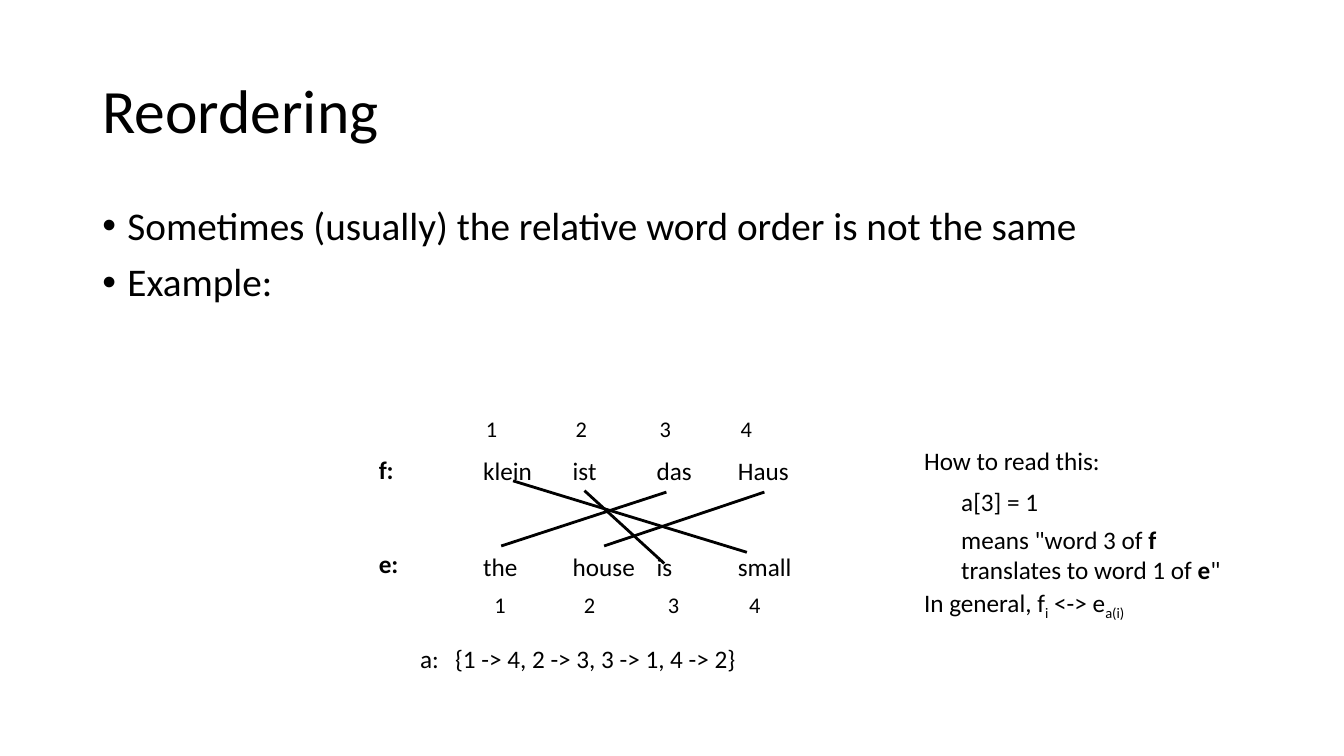
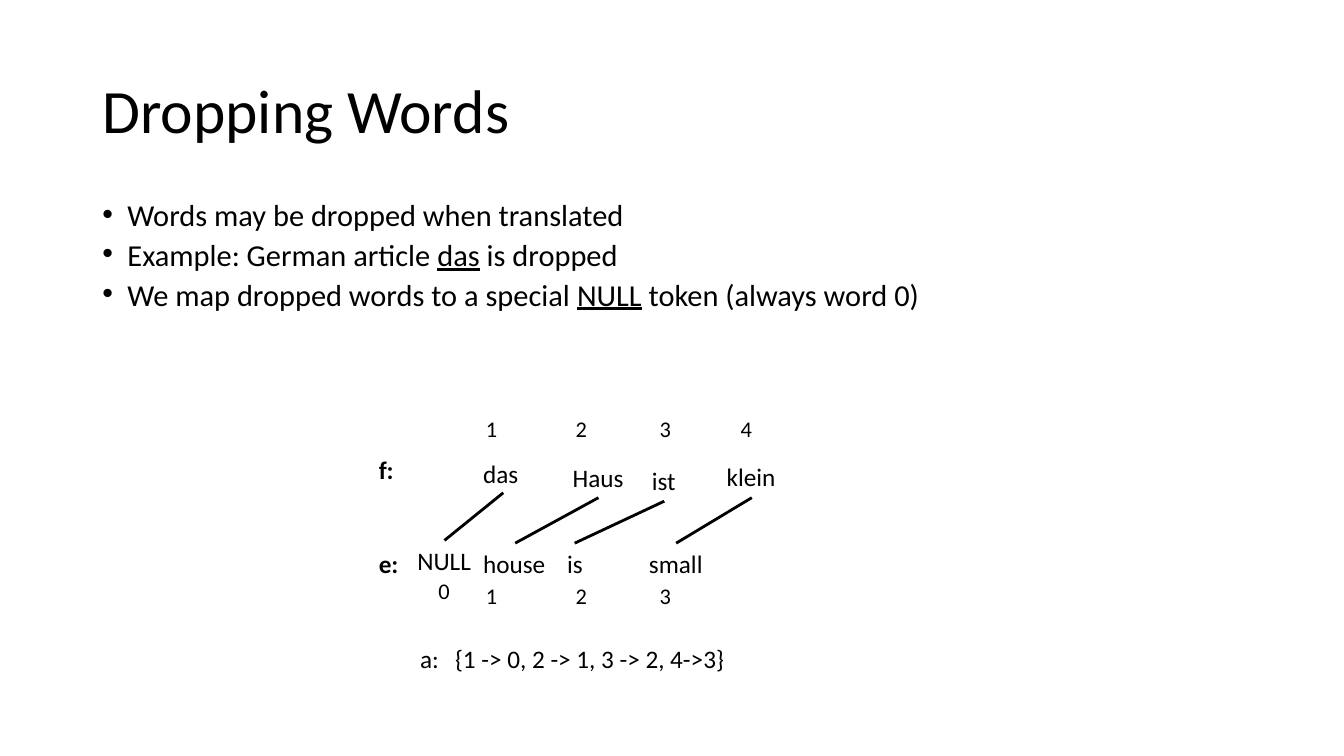
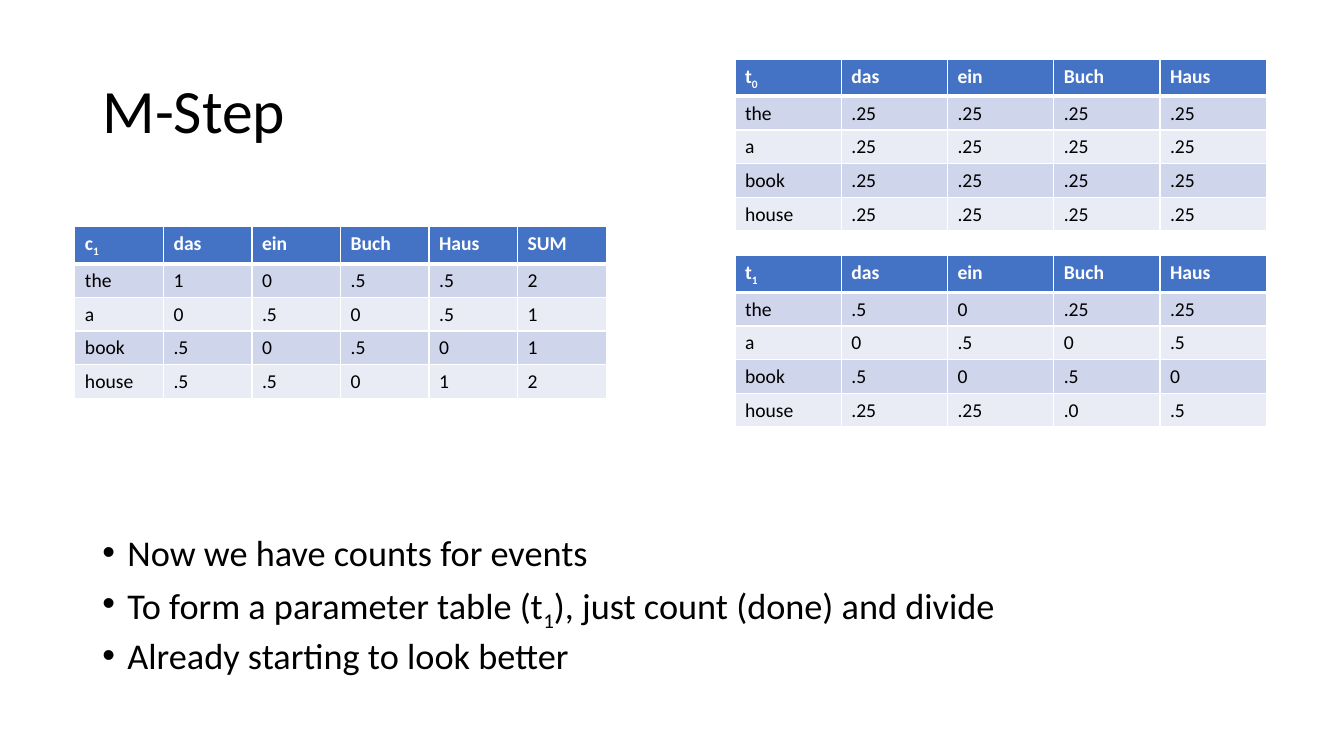
import pptx
import pptx.util
import pptx.dml.color
import pptx.enum.shapes
import pptx.enum.text
import pptx.oxml.ns
from lxml import etree

Pt = pptx.util.Pt
FONT = "Calibri"
BLACK, WHITE = "000000", "FFFFFF"
HEAD, BANDS = "4472C4", ("CFD5EA", "E9EBF5")
MARKS = {"b": "bold", "u": "underline"}

# Box widths of the words in the alignment diagrams
WIDTHS = {"klein": 50, "ist": 32, "das": 40, "Haus": 51, "the": 40,
          "house": 60, "is": 26, "small": 53, "NULL": 53, "f:": 25, "e:": 29}
COLS = (338, 402, 462, 520)


def color(code):
    return pptx.dml.color.RGBColor.from_string(code)


def child(node, tag, **attrs):
    return etree.SubElement(node, pptx.oxml.ns.qn(tag), attrs)


def write(par, text, size=18, ink=BLACK, bold=False, lead=None, gap=None,
          hang=0, bullet=False):
    """Fill a paragraph; text is a string or a list of strings and
    (string, mark) pairs, where mark is b, u or sub."""
    if lead:
        par.line_spacing = lead
    if gap:
        par.space_before = Pt(gap)
    props = par._p.get_or_add_pPr()
    if hang:
        props.set("marL", str(Pt(hang)))
        props.set("indent", str(-Pt(hang)))
    if bullet:
        child(props, "a:buFont", typeface="Arial")
        child(props, "a:buChar", char="•")
    for part in [text] if isinstance(text, str) else text:
        words, mark = (part, "") if isinstance(part, str) else part
        run = par.add_run()
        run.text = words
        font = run.font
        font.name, font.size, font.bold = FONT, Pt(size), bold
        font.color.rgb = color(ink)
        if mark in MARKS:
            setattr(font, MARKS[mark], True)
        elif mark == "sub":
            run._r.get_or_add_rPr().set("baseline", "-25000")


class Deck:
    def __init__(self):
        self.show = pptx.Presentation()
        self.show.slide_width, self.show.slide_height = Pt(960), Pt(540)
        self.slide = None

    def start(self, title):
        """Add a slide with its title."""
        self.slide = self.show.slides.add_slide(self.show.slide_layouts[5])
        box = self.slide.shapes.title
        box.left, box.top, box.width, box.height = map(Pt, (66, 28.8, 828, 104.4))
        frame = box.text_frame
        frame.auto_size = pptx.enum.text.MSO_AUTO_SIZE.NONE
        frame.vertical_anchor = pptx.enum.text.MSO_ANCHOR.MIDDLE
        frame.paragraphs[0].alignment = pptx.enum.text.PP_ALIGN.LEFT
        write(frame.paragraphs[0], title, size=44, lead=0.9)

    def points(self, items, top, height, size, lead):
        """Add the bulleted body text."""
        box = self.slide.shapes.add_textbox(Pt(66), Pt(top), Pt(828), Pt(height))
        frame = box.text_frame
        frame.word_wrap = True
        for num, item in enumerate(items):
            par = frame.add_paragraph() if num else frame.paragraphs[0]
            write(par, item, size=size, lead=lead, gap=10, hang=18, bullet=True)

    def label(self, text, left, top, width=None, lines=1, size=18, **form):
        """Add a small text box that fits its text."""
        width = width or WIDTHS[text]
        box = self.slide.shapes.add_textbox(
            Pt(left), Pt(top), Pt(width), Pt(1.2 * size * lines + 7.2))
        frame = box.text_frame
        frame.word_wrap = lines > 1
        frame.auto_size = pptx.enum.text.MSO_AUTO_SIZE.SHAPE_TO_FIT_TEXT
        write(frame.paragraphs[0], text, size=size, **form)

    def digits(self, text, shift, top):
        """Number the word columns."""
        for digit, left in zip(text, COLS):
            self.label(digit, left + shift, top, 23, size=16)

    def line(self, *ends):
        link = self.slide.shapes.add_connector(
            pptx.enum.shapes.MSO_CONNECTOR.STRAIGHT, *map(Pt, ends))
        link.line.color.rgb = color(BLACK)
        link.line.width = Pt(2)
        child(link._element.spPr, "a:effectLst")

    def align(self, words, links, mapping, width):
        """Draw a word alignment: words, links, sides and the mapping."""
        self.digits("1234", 2, 293)
        for word, left, top in words:
            self.label(word, left, top)
        self.label("f:", 263.5, 321, bold=True)
        self.label("e:", 263.5, 388, bold=True)
        self.label("a:\t" + mapping, 293, 456, width, hang=25)
        for link in links:
            self.line(*link)

    def table(self, left, top, key, heads, rows):
        """Add a banded table; key is a letter and its index."""
        grid = [[[key[0], (key[1], "sub")]] + heads.split()]
        grid += [row.split() for row in rows]
        table = self.slide.shapes.add_table(
            len(grid), len(grid[0]), Pt(left), Pt(top), Pt(379.5), Pt(120)).table
        for num, row in enumerate(grid):
            for col, text in enumerate(row):
                cell = table.cell(num, col)
                first = num == 0
                self.edges(cell, top=3 if num == 1 else 1, base=3 if first else 1)
                cell.fill.solid()
                cell.fill.fore_color.rgb = color(HEAD if first else BANDS[(num - 1) % 2])
                write(cell.text_frame.paragraphs[0], text, size=14, bold=first,
                      ink=WHITE if first else BLACK)

    def edges(self, cell, top, base):
        props = cell._tc.get_or_add_tcPr()
        for side, width in zip("LRTB", (1, 1, top, base)):
            edge = child(props, "a:ln" + side, w=str(Pt(width)))
            child(child(edge, "a:solidFill"), "a:srgbClr", val=WHITE)


def main():
    deck = Deck()

    # Reordering
    deck.start("Reordering")
    deck.points(["Sometimes (usually) the relative word order is not the same",
                 "Example:"], 144, 139, 28, 0.9)
    words = [(word, left, top)
             for text, top in (("klein ist das Haus", 322), ("the house is small", 390))
             for word, left in zip(text.split(), COLS)]
    links = [(366.5, 343.5, 533.5, 394.5), (417.5, 350.5, 474.5, 402.5),
             (476, 351.5, 358, 390), (546, 351.5, 431.5, 390)]
    deck.align(words, links, "{1 -> 4, 2 -> 3, 3 -> 1, 4 -> 2}", 244)
    deck.digits("1234", 8, 419)
    deck.label("How to read this:", 653, 314.5, 142)
    deck.label("a[3] = 1", 679.5, 343.5, 71)
    deck.label(["means \"word 3 of ", ("f", "b"), " translates to word 1 of ",
                ("e", "b"), "\""], 679.5, 371, 206, lines=2)
    deck.label(["In general, f", ("i", "sub"), " <-> e", ("a(i)", "sub")],
               653, 416, 162)

    # Dropping words
    deck.start("Dropping Words")
    deck.points(["Words may be dropped when translated",
                 ["Example: German article ", ("das", "u"), " is dropped"],
                 ["We map dropped words to a special ", ("NULL", "u"),
                  " token (always word 0)"]], 144, 124, 21.7, 0.7)
    words = [("das", 338, 324), ("Haus", 402, 327), ("ist", 458.5, 329),
             ("klein", 512, 326), ("NULL", 291, 386), ("house", 338, 388),
             ("is", 398, 388), ("small", 456.5, 388)]
    links = [(537, 355.5, 483, 388), (474.5, 358, 410.5, 388),
             (427.5, 355.5, 368, 388), (359.5, 352, 317.5, 386)]
    deck.align(words, links, "{1 -> 0, 2 -> 1, 3 -> 2, 4->3}", 235)
    deck.digits("123", 2, 412.5)
    deck.label("0", 306, 409, 23, size=16)

    # M-step
    deck.start("M-Step")
    deck.points(["Now we have counts for events",
                 ["To form a parameter table (t", ("1", "sub"),
                  "), just count (done) and divide"],
                 "Already starting to look better"], 381.5, 106, 25.9, 0.8)
    heads = "das ein Buch Haus"
    deck.table(53.5, 162, "c1", heads + " SUM",
               ["the 1 0 .5 .5 2", "a 0 .5 0 .5 1",
                "book .5 0 .5 0 1", "house .5 .5 0 1 2"])
    deck.table(525, 42.5, "t0", heads,
               [word + " .25" * 4 for word in ("the", "a", "book", "house")])
    deck.table(525, 182.5, "t1", heads,
               ["the .5 0 .25 .25", "a 0 .5 0 .5",
                "book .5 0 .5 0", "house .25 .25 .0 .5"])

    deck.show.save("out.pptx")


if __name__ == "__main__":
    main()
